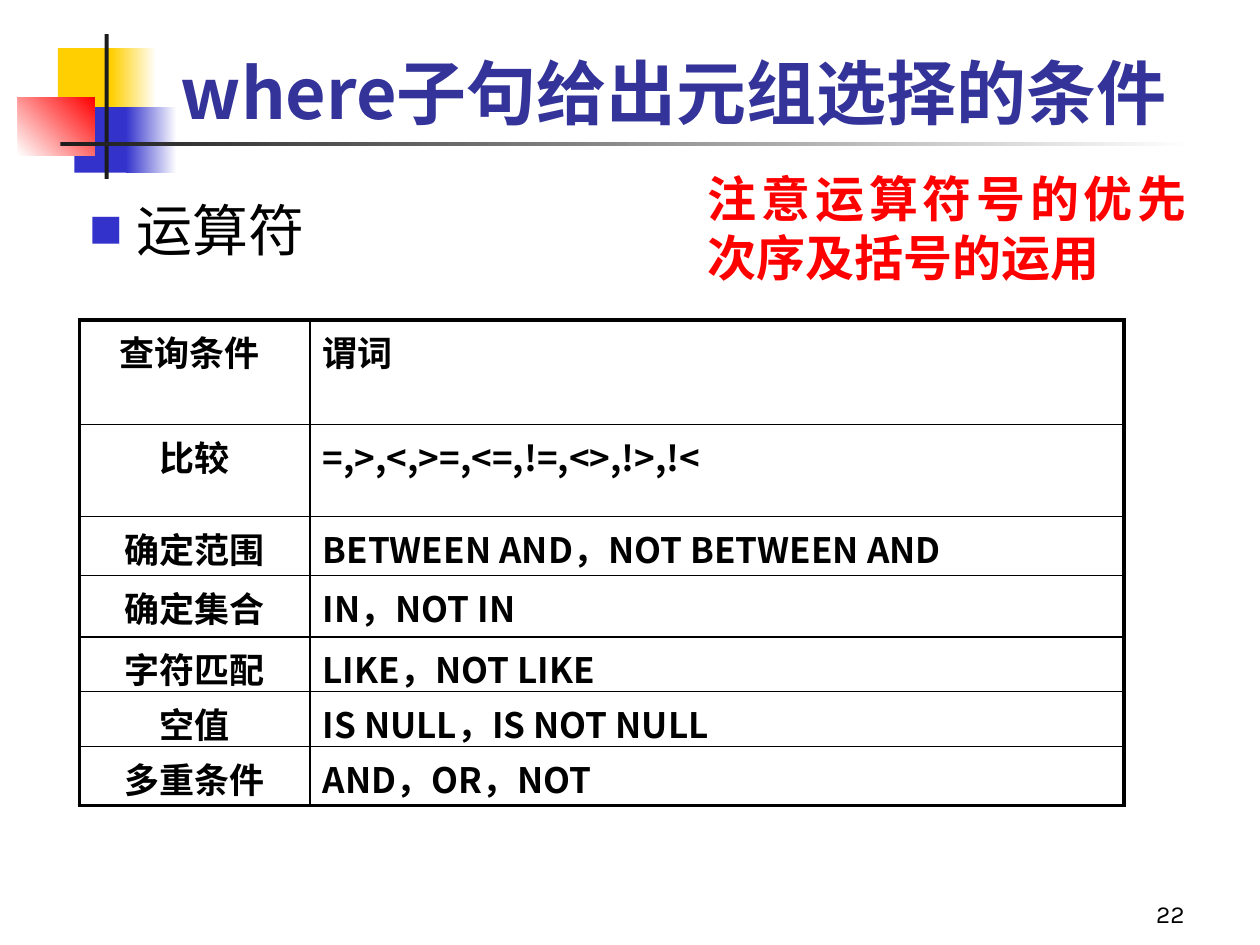
from lxml import etree
from pptx import Presentation
from pptx.dml.color import RGBColor
from pptx.enum.shapes import MSO_SHAPE
from pptx.enum.text import MSO_ANCHOR, MSO_AUTO_SIZE, PP_ALIGN
from pptx.oxml.ns import qn
from pptx.util import Cm, Pt

RECT = MSO_SHAPE.RECTANGLE
TOP, BOTTOM = MSO_ANCHOR.TOP, MSO_ANCHOR.BOTTOM
LEFT, CENTER, RIGHT, JUSTIFY = (
    PP_ALIGN.LEFT, PP_ALIGN.CENTER, PP_ALIGN.RIGHT, PP_ALIGN.JUSTIFY)
FIXED = MSO_AUTO_SIZE.NONE

# Content
TITLE = "where子句给出元组选择的条件"
TOPIC = "运算符"
NOTE = "注意运算符号的优先次序及括号的运用"
PAGE = "22"
PREDICATES = [
    ("查询条件", "谓词"),
    ("比较", "=,>,<,>=,<=,!=,<>,!>,!<"),
    ("确定范围", "BETWEEN AND，NOT BETWEEN AND"),
    ("确定集合", "IN，NOT IN"),
    ("字符匹配", "LIKE，NOT LIKE"),
    ("空值", "IS NULL，IS NOT NULL"),
    ("多重条件", "AND，OR，NOT"),
]

# Theme: (latin font, East Asian font, size, colour, bold)
SANS, SERIF, ACCENT = "Noto Sans CJK SC", "Times New Roman", "Karla"
YELLOW, BLUE, RED, DARK, WHITE = "FFCF01", "3333CC", "FF0000", "1C1C1C", "FFFFFF"
BLACK = "000000"
THEME = {
    "title": (SANS, SANS, 40, "333399", True),
    "topic": (SANS, SANS, 32, BLACK, False),
    "note": (ACCENT, ACCENT, 28, RED, True),
    "page": (ACCENT, ACCENT, 14, BLACK, False),
    "label": (SERIF, SANS, 20, BLACK, True),
    "predicate": (SANS, SANS, 20, BLACK, True),
}
OUTER, INNER = 2.25, 1

# Geometry in centimetres: left, top, width, height
TITLE_BOX = (2.59, 0.46, 21.97, 2.36)
TOPIC_BOX = (1.55, 3.61, 23.34, 15.24)
NOTE_BOX = (14.02, 3.28, 10.16, 2.64)
PAGE_BOX = (18.85, 17.58, 5.28, 1.27)
TABLE_LEFT, TABLE_TOP = 1.6, 6.45
COLUMNS = (4.65, 16.41)
ROWS = (2.11, 1.85, 1.19, 1.24, 1.09, 1.09, 1.19)

# Ornament: box, start colour, end colour (None is solid), angle
ORNAMENT = [
    ((1.17, 0.97, 1.22, 1.32), YELLOW, None, 0),
    ((2.24, 0.97, 0.91, 1.32), YELLOW, WHITE, 0),
    ((1.5, 2.16, 1.17, 1.32), BLUE, None, 0),
    ((2.54, 2.16, 1.02, 1.32), BLUE, WHITE, 0),
    ((0.36, 1.96, 1.55, 1.17), WHITE, RED, 45),
    ((2.11, 0.69, 0.08, 2.92), DARK, None, 0),
    ((1.22, 2.87, 22.86, 0.08), DARK, WHITE, 0),
]


def rgb(code):
    return RGBColor.from_string(code)


def set_all(target, values):
    for name, value in values.items():
        setattr(target, name, value)


def place(shape, box):
    set_all(shape, dict(zip(("left", "top", "width", "height"), map(Cm, box))))


def write(frame, text, role, align=LEFT, anchor=TOP):
    latin, east_asian, size, color, bold = THEME[role]
    set_all(frame, {"word_wrap": True, "vertical_anchor": anchor})
    paragraph = frame.paragraphs[0]
    set_all(paragraph, {"alignment": align, "space_before": Pt(0)})
    run = paragraph.add_run()
    run.text = text
    set_all(run.font, {"name": latin, "size": Pt(size), "bold": bold})
    run.font.color.rgb = rgb(color)
    east = etree.Element(qn("a:ea"), typeface=east_asian)
    run.font._element.find(qn("a:latin")).addnext(east)
    return paragraph


def add_bullet(paragraph, char, color, percent, indent):
    props = paragraph._p.get_or_add_pPr()
    props.set("marL", str(Cm(indent)))
    props.set("indent", str(-Cm(indent)))
    tint = etree.SubElement(props, qn("a:buClr"))
    etree.SubElement(tint, qn("a:srgbClr"), val=color)
    etree.SubElement(props, qn("a:buSzPct"), val=str(percent * 1000))
    etree.SubElement(props, qn("a:buFont"), typeface=SANS)
    etree.SubElement(props, qn("a:buChar"), char=char)


def add_borders(cell, widths):
    props = cell._tc.get_or_add_tcPr()
    for side, width in widths.items():
        line = etree.SubElement(props, qn("a:ln" + side), w=str(Pt(width)))
        fill = etree.SubElement(line, qn("a:solidFill"))
        etree.SubElement(fill, qn("a:srgbClr"), val=BLACK)


def add_ornament(slide):
    for depth, (box, start, end, angle) in enumerate(ORNAMENT):
        block = slide.shapes.add_shape(RECT, *map(Cm, box))
        block.shadow.inherit = False
        block.line.fill.background()
        if end:
            block.fill.gradient()
            block.fill.gradient_angle = angle
            for stop, color in zip(block.fill.gradient_stops, (start, end)):
                stop.color.rgb = rgb(color)
        else:
            block.fill.solid()
            block.fill.fore_color.rgb = rgb(start)
        # Behind the placeholders
        slide.shapes._spTree.insert(2 + depth, block._element)


def add_predicate_table(slide):
    frame = slide.shapes.add_table(
        len(ROWS), len(COLUMNS), Cm(TABLE_LEFT), Cm(TABLE_TOP),
        Cm(sum(COLUMNS)), Cm(sum(ROWS)))
    table = frame.table
    set_all(table, {"first_row": False, "horz_banding": False})
    for column, width in zip(table.columns, COLUMNS):
        column.width = Cm(width)
    last_row, last_column = len(ROWS) - 1, len(COLUMNS) - 1
    for r, (height, texts) in enumerate(zip(ROWS, PREDICATES)):
        table.rows[r].height = Cm(height)
        for c, text in enumerate(texts):
            cell = table.cell(r, c)
            edges = {"L": c == 0, "R": c == last_column,
                     "T": r == 0, "B": r == last_row}
            add_borders(cell, {side: OUTER if outer else INNER
                               for side, outer in edges.items()})
            cell.fill.background()
            is_label = c == 0 or r == 0
            write(cell.text_frame, text, "label" if is_label else "predicate",
                  CENTER if c == 0 else LEFT)
    table.cell(0, 0).margin_left = Cm(0.05)


def main():
    deck = Presentation()
    set_all(deck, {"slide_width": Cm(25.4), "slide_height": Cm(19.05)})
    slide = deck.slides.add_slide(deck.slide_layouts[1])
    add_ornament(slide)

    # Title and topic
    title, body = slide.placeholders
    place(title, TITLE_BOX)
    title.text_frame.auto_size = FIXED
    write(title.text_frame, TITLE, "title", CENTER, BOTTOM)
    place(body, TOPIC_BOX)
    body.text_frame.auto_size = FIXED
    topic = write(body.text_frame, TOPIC, "topic", JUSTIFY)
    topic.line_spacing = 1.15
    add_bullet(topic, "■", BLUE, 60, 0.95)

    # Side note and page number
    for box, text, role, align, anchor in (
            (NOTE_BOX, NOTE, "note", JUSTIFY, TOP),
            (PAGE_BOX, PAGE, "page", RIGHT, BOTTOM)):
        holder = slide.shapes.add_textbox(*map(Cm, box))
        write(holder.text_frame, text, role, align, anchor)

    add_predicate_table(slide)
    deck.save("out.pptx")


if __name__ == "__main__":
    main()
